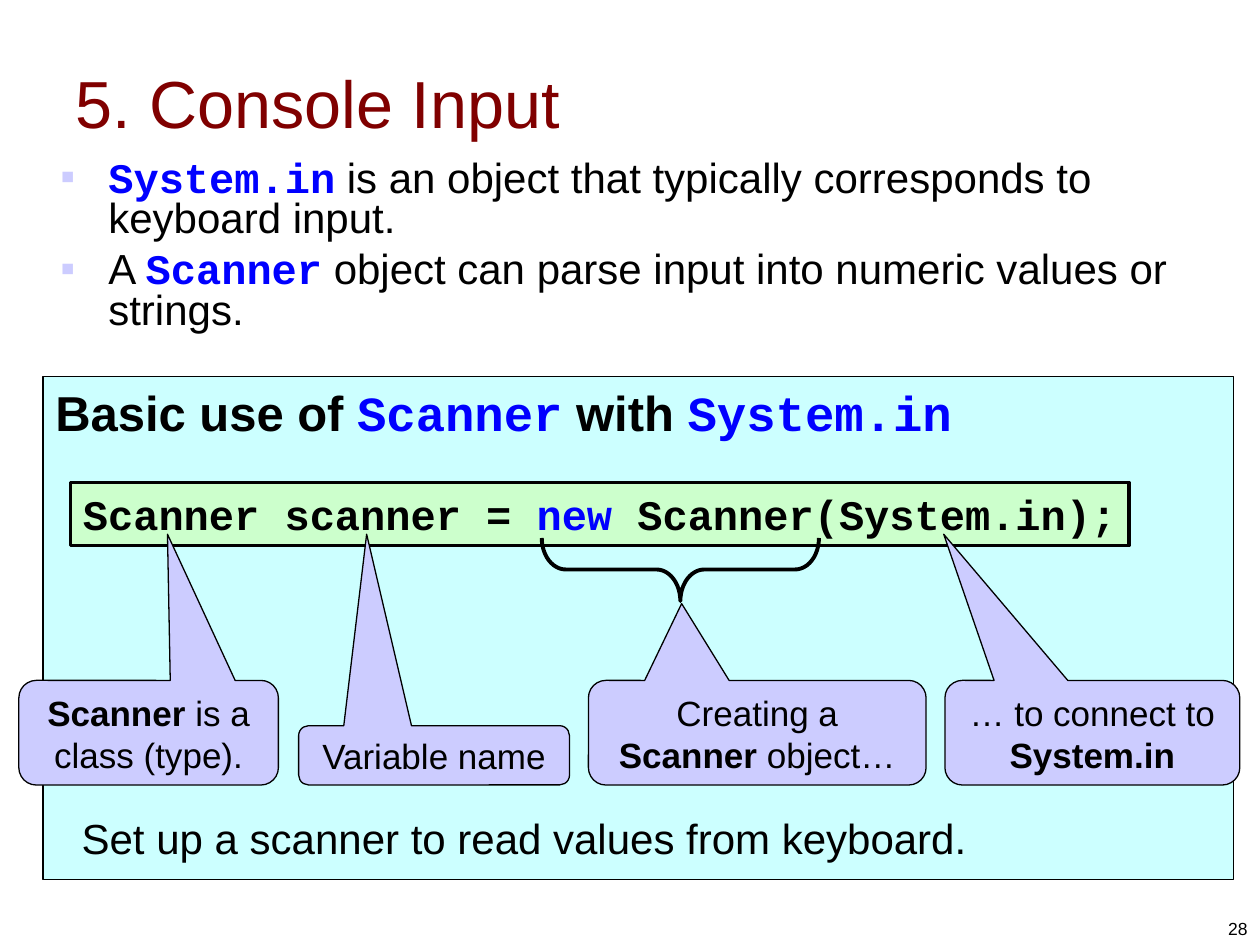
import pptx
import pptx.util
import pptx.dml.color
import pptx.enum.shapes
import pptx.enum.text
import pptx.oxml.ns
from lxml import etree

SHAPE = pptx.enum.shapes.MSO_SHAPE
ALIGN = pptx.enum.text.PP_ALIGN
ANCHOR = pptx.enum.text.MSO_ANCHOR
AUTO_SIZE = pptx.enum.text.MSO_AUTO_SIZE

COLORS = {
    "text": "000000", "title": "800000", "code": "0000FF", "panel": "CCFFFF",
    "code box": "CCFFCC", "callout": "CCCCFF", "bullet": "CCCCFF",
}
SANS, MONO = "Arial", "Courier New"

# A run is (text, style); the styles are plain, bold, code and keyword.
TITLE = [[("5. Console Input", "plain")]]
BULLETS = [
    [("System.in", "code"),
     (" is an object that typically corresponds to keyboard input.", "plain")],
    [("A ", "plain"), ("Scanner", "code"),
     (" object can parse input into numeric values or strings.", "plain")],
]
PANEL = [[("Basic use of ", "bold"), ("Scanner", "code"),
          (" with ", "bold"), ("System.in", "code")]]
CODE = [[("Scanner scanner = ", "bold"), ("new", "keyword"),
         (" Scanner(System.in);", "bold")]]
SUMMARY = [[("Set up a scanner to read values from keyboard.", "plain")]]
PAGE_NUMBER = [[("28", "plain")]]

# Places are percentages of the slide: left, top, width, height.
CODE_TIP, BRACE_TIP = 56.53, 63.87
CALLOUT_BOTTOM = 83.07
CALLOUT_HEIGHTS = {1: 6.27, 2: 11.07}
# Each callout: left, width, lines of text, tip across, tip down, runs
CALLOUTS = [
    (1.5, 20.6, 2, 13.3, CODE_TIP,
     [("Scanner", "bold"), (" is a class (type).", "plain")]),
    (23.7, 21.5, 1, 29.1, CODE_TIP, [("Variable name", "plain")]),
    (46.7, 26.8, 2, 54.1, BRACE_TIP,
     [("Creating a ", "plain"), ("Scanner", "bold"), (" object…", "plain")]),
    (75, 23.4, 2, 74.9, CODE_TIP,
     [("… to connect to ", "plain"), ("System.in", "bold")]),
]

presentation = pptx.Presentation()
presentation.slide_width = pptx.util.Inches(10)
presentation.slide_height = pptx.util.Inches(7.5)
slide = presentation.slides.add_slide(presentation.slide_layouts[1])


def rgb(name):
    return pptx.dml.color.RGBColor.from_string(COLORS[name])


def box(left, top, width, height):
    """Turn percentages of the slide into lengths."""
    across, down = presentation.slide_width / 100, presentation.slide_height / 100
    return [round(value) for value in
            (left * across, top * down, width * across, height * down)]


def place(shape, *area):
    shape.left, shape.top, shape.width, shape.height = box(*area)


def write(shape, paragraphs, size, font=SANS, color="text", align=ALIGN.LEFT,
          anchor=ANCHOR.TOP, wrap=True, auto_size=AUTO_SIZE.NONE):
    frame = shape.text_frame
    frame.word_wrap = wrap
    frame.auto_size = auto_size
    frame.vertical_anchor = anchor
    for index, runs in enumerate(paragraphs):
        paragraph = frame.add_paragraph() if index else frame.paragraphs[0]
        paragraph.alignment = align
        paragraph.space_before = pptx.util.Pt(0)
        paragraph.font.size = pptx.util.Pt(size)
        paragraph.font.name = font
        paragraph.font.color.rgb = rgb(color)
        for text, style in runs:
            run = paragraph.add_run()
            run.text = text
            run.font.bold = style != "plain"
            if style in ("code", "keyword"):
                run.font.name = MONO
                run.font.color.rgb = rgb("code")


def add_outlined(kind, area, fill, line_width):
    shape = slide.shapes.add_shape(kind, *box(*area))
    shape.shadow.inherit = False
    if fill:
        shape.fill.solid()
        shape.fill.fore_color.rgb = rgb(fill)
    else:
        shape.fill.background()
    shape.line.color.rgb = rgb("text")
    shape.line.width = pptx.util.Pt(line_width)
    return shape


def add_bullet(paragraph):
    properties = paragraph._p.get_or_add_pPr()
    indent = pptx.util.Inches(0.38)
    properties.set("marL", str(indent))
    properties.set("indent", str(-indent))
    qn = pptx.oxml.ns.qn
    color = etree.Element(qn("a:buClr"))
    etree.SubElement(color, qn("a:srgbClr"), val=COLORS["bullet"])
    character = etree.Element(qn("a:buChar"), char="▪")
    defaults = properties.find(qn("a:defRPr"))
    for element in (color, character):
        defaults.addprevious(element)


def add_callout(left, width, lines, tip_across, tip_down, runs):
    height = CALLOUT_HEIGHTS[lines]
    top = CALLOUT_BOTTOM - height
    callout = add_outlined(SHAPE.ROUNDED_RECTANGULAR_CALLOUT,
                           (left, top, width, height), "callout", 0.75)
    callout.adjustments[0] = (tip_across - left) / width - 0.5
    callout.adjustments[1] = (tip_down - top) / height - 0.5
    write(callout, [runs], 20, align=ALIGN.CENTER, wrap=lines > 1,
          auto_size=AUTO_SIZE.SHAPE_TO_FIT_TEXT)


title, body = slide.shapes.title, slide.placeholders[1]
place(title, 5, 2.4, 92.4, 16.67)
write(title, TITLE, 38, color="title", anchor=ANCHOR.MIDDLE)

place(body, 3.8, 16.4, 93.2, 21.33)
write(body, BULLETS, 24)
for index, paragraph in enumerate(body.text_frame.paragraphs):
    paragraph.line_spacing = 0.8
    paragraph.space_before = pptx.util.Pt(6 if index else 0)
    add_bullet(paragraph)

panel = add_outlined(SHAPE.RECTANGLE, (3.4, 39.87, 94.5, 53.2), "panel", 0.75)
write(panel, PANEL, 28)

code_box = add_outlined(SHAPE.RECTANGLE, (5.6, 51.07, 84, 6.67), "code box", 2)
write(code_box, CODE, 24, font=MONO, wrap=False,
      auto_size=AUTO_SIZE.SHAPE_TO_FIT_TEXT)

summary = slide.shapes.add_textbox(*box(5.5, 85.33, 90.7, 6.67))
write(summary, SUMMARY, 24, auto_size=AUTO_SIZE.SHAPE_TO_FIT_TEXT)

brace = add_outlined(SHAPE.LEFT_BRACE, (51.5, 45.6, 5, 29.33), None, 2.25)
brace.rotation = 270
brace.adjustments[0] = 0.38

for callout in CALLOUTS:
    add_callout(*callout)

page_number = slide.shapes.add_textbox(*box(76.7, 93.4, 23.3, 6.6))
write(page_number, PAGE_NUMBER, 10, align=ALIGN.RIGHT, anchor=ANCHOR.BOTTOM)

presentation.save("out.pptx")
